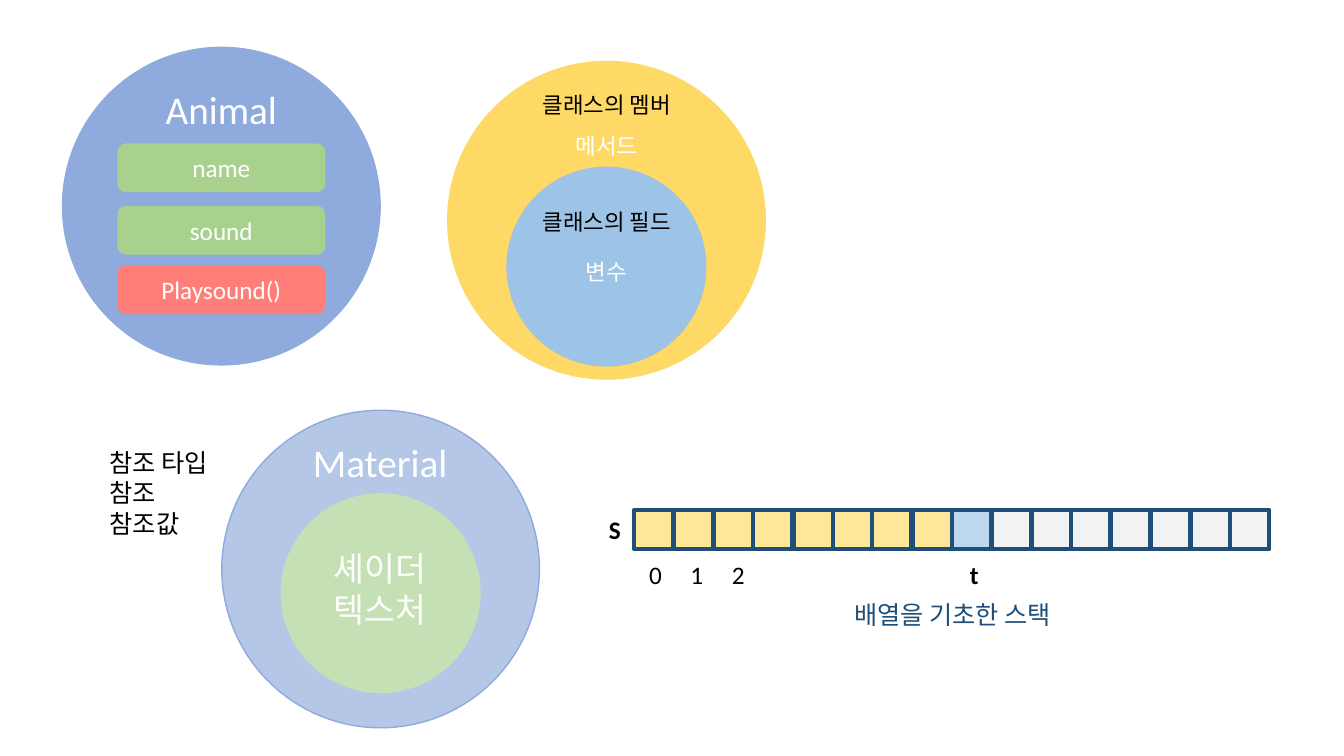
from dataclasses import dataclass

import pptx
import pptx.dml.color
import pptx.enum.shapes
import pptx.enum.text
import pptx.util

PX = 9144  # EMU in one px, 100 px to the inch
FONT = "Calibri"
COLOURS = {
    "white": "FFFFFF", "black": "000000", "navy": "1F4E79",
    "blue": "8FAADC", "pale blue": "B4C7E7", "sky": "9DC3E6", "top": "BDD7EE",
    "green": "A9D18E", "pale green": "C5E0B4", "red": "FF7E79",
    "yellow": "FFD966", "used": "FFE699", "free": "F2F2F2",
}
SHAPES = pptx.enum.shapes.MSO_SHAPE
ALIGN = pptx.enum.text.PP_ALIGN
LARGE, SMALL = 315, 197  # circle diameters
CELL, PITCH, CELL_COUNT, TOP_INDEX = 39, 39.4, 16, 8


@dataclass
class Figure:
    left: int
    top: int
    width: int
    height: int
    fill: str
    line: str
    kind: SHAPES = SHAPES.OVAL
    line_width: int = 1
    text: str = ""


@dataclass
class Label:
    left: int
    top: int
    width: int
    height: int
    text: str
    size: int
    colour: str = "black"
    align: ALIGN = ALIGN.CENTER
    bold: bool = False
    wrap: bool = True


def rgb(name: str) -> pptx.dml.color.RGBColor:
    return pptx.dml.color.RGBColor.from_string(COLOURS[name])


def bounds(item: Figure | Label) -> list[int]:
    return [pptx.util.Emu(n * PX) for n in (item.left, item.top, item.width, item.height)]


def write(frame, text: str, size: int, colour: str, align: ALIGN, bold: bool = False) -> None:
    for index, line in enumerate(text.split("\n")):
        para = frame.add_paragraph() if index else frame.paragraphs[0]
        para.alignment = align
        span = para.add_run()
        span.text = line
        span.font.name = FONT
        span.font.size = pptx.util.Pt(size)
        span.font.bold = bold
        span.font.color.rgb = rgb(colour)


def draw_figure(page, figure: Figure) -> None:
    shape = page.shapes.add_shape(figure.kind, *bounds(figure))
    shape.shadow.inherit = False
    shape.fill.solid()
    shape.fill.fore_color.rgb = rgb(figure.fill)
    shape.line.color.rgb = rgb(figure.line)
    shape.line.width = pptx.util.Pt(figure.line_width)
    if figure.text:
        shape.text_frame.vertical_anchor = pptx.enum.text.MSO_ANCHOR.MIDDLE
        write(shape.text_frame, figure.text, 18, "white", ALIGN.CENTER)


def draw_label(page, label: Label) -> None:
    frame = page.shapes.add_textbox(*bounds(label)).text_frame
    frame.word_wrap = label.wrap
    frame.auto_size = pptx.enum.text.MSO_AUTO_SIZE.SHAPE_TO_FIT_TEXT
    write(frame, label.text, label.size, label.colour, label.align, label.bold)


def circle(left: int, top: int, diameter: int, fill: str, line: str = "") -> Figure:
    return Figure(left, top, diameter, diameter, fill, line or fill)


def member(top: int, fill: str, text: str) -> Figure:
    return Figure(117, top, 205, 47, fill, fill, SHAPES.ROUNDED_RECTANGLE, text=text)


def stack_cell(index: int) -> Figure:
    fill = "used" if index < TOP_INDEX else "top" if index == TOP_INDEX else "free"
    left = 629 + round(index * PITCH)
    return Figure(left, 506, CELL, CELL, fill, "navy", SHAPES.RECTANGLE, 3)


ITEMS: list[Figure | Label] = [
    # Animal class
    circle(62, 47, LARGE, "blue"),
    Label(148, 80, 143, 57, "Animal", 28, "white"),
    member(143, "green", "name"),
    member(205, "green", "sound"),
    member(264, "red", "Playsound()"),
    # Class members and fields
    circle(444, 61, LARGE, "yellow"),
    Label(496, 86, 212, 37, "클래스의 멤버", 16),
    circle(503, 166, SMALL, "sky"),
    Label(496, 202, 212, 37, "클래스의 필드", 16),
    Label(555, 251, 93, 37, "변수", 16, "white"),
    Label(555, 126, 93, 37, "메서드", 16, "white"),
    # Reference terms and Material
    Label(99, 439, 568, 101, "참조 타입\n참조\n참조값", 18, align=ALIGN.LEFT),
    circle(220, 407, LARGE, "pale blue", "blue"),
    Label(289, 430, 176, 57, "Material", 28, "white"),
    circle(279, 490, SMALL, "pale green"),
    Label(289, 539, 176, 91, "셰이더\n텍스처", 24, "white"),
    # Stack built on an array
    *(stack_cell(index) for index in range(CELL_COUNT)),
    Label(828, 590, 234, 40, "배열을 기초한 스택", 18, "navy", wrap=False),
    Label(594, 505, 32, 40, "S", 18, align=ALIGN.LEFT, bold=True, wrap=False),
    *(Label(634 + 41 * index, 550, 32, 40, str(index), 18, wrap=False) for index in range(3)),
    Label(952, 550, 29, 40, "t", 18, align=ALIGN.LEFT, bold=True, wrap=False),
]


def main() -> None:
    deck = pptx.Presentation()
    deck.slide_width = pptx.util.Emu(1333 * PX)
    deck.slide_height = pptx.util.Emu(750 * PX)
    page = deck.slides.add_slide(deck.slide_layouts[6])
    for item in ITEMS:
        if isinstance(item, Figure):
            draw_figure(page, item)
        else:
            draw_label(page, item)
    deck.save("out.pptx")


if __name__ == "__main__":
    main()
